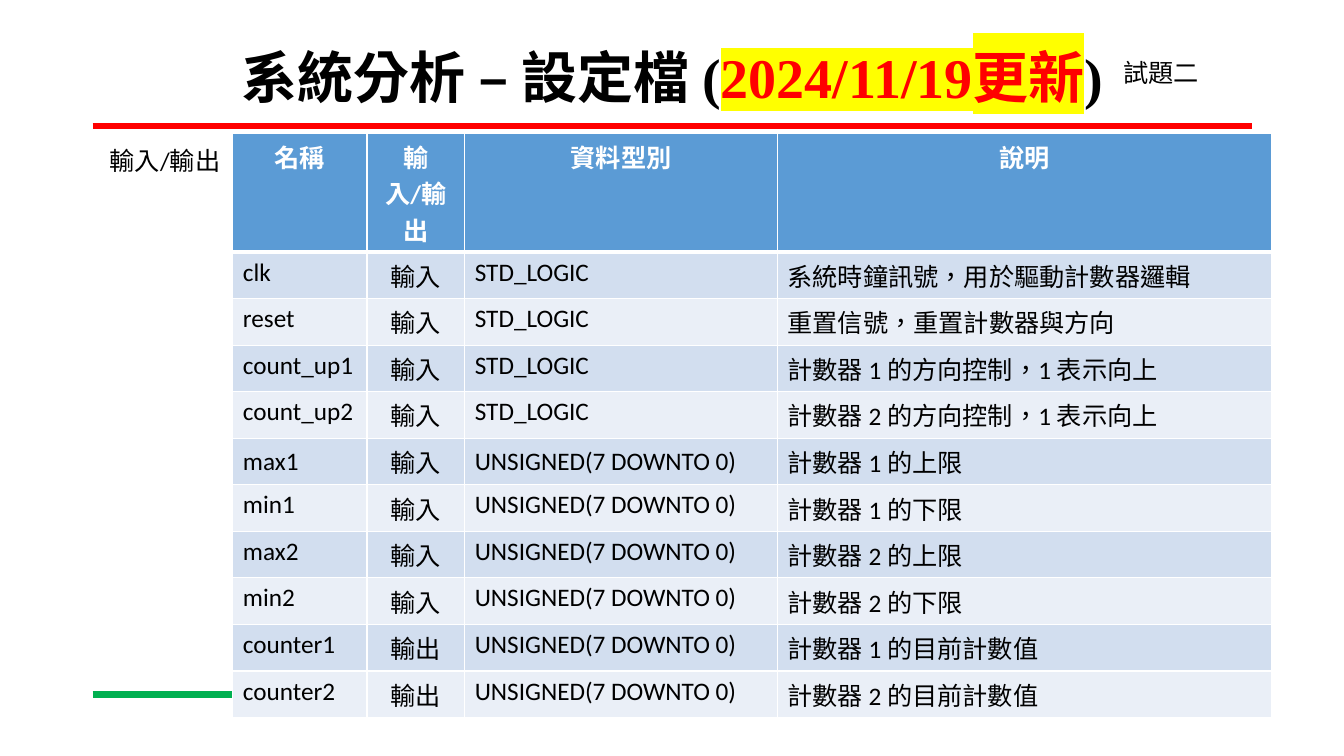
"""Build the counter settings slide with its signal table."""
from lxml import etree
from pptx import Presentation
from pptx import util as u
from pptx.dml.color import RGBColor
from pptx.enum import lang, shapes, text
from pptx.oxml.ns import qn

RED = RGBColor(0xFF, 0x00, 0x00)
GREEN = RGBColor(0x00, 0xB0, 0x50)
BLACK = RGBColor(0x00, 0x00, 0x00)
WHITE = RGBColor(0xFF, 0xFF, 0xFF)
YELLOW = RGBColor(0xFF, 0xFF, 0x00)
BLUE = RGBColor(0x5B, 0x9B, 0xD5)
BANDS = RGBColor(0xD2, 0xDE, 0xEF), RGBColor(0xEA, 0xEF, 0xF7)

HEADS = ["名稱", "輸入/輸出", "資料型別", "說明"]
BIT, BYTE = "STD_LOGIC", "UNSIGNED(7 DOWNTO 0)"
SIGNALS = [
    ("clk", "輸入", BIT, "系統時鐘訊號，用於驅動計數器邏輯"),
    ("reset", "輸入", BIT, "重置信號，重置計數器與方向"),
    ("count_up1", "輸入", BIT, "計數器 1 的方向控制，1 表示向上"),
    ("count_up2", "輸入", BIT, "計數器 2 的方向控制，1 表示向上"),
    ("max1", "輸入", BYTE, "計數器 1 的上限"),
    ("min1", "輸入", BYTE, "計數器 1 的下限"),
    ("max2", "輸入", BYTE, "計數器 2 的上限"),
    ("min2", "輸入", BYTE, "計數器 2 的下限"),
    ("counter1", "輸出", BYTE, "計數器 1 的目前計數值"),
    ("counter2", "輸出", BYTE, "計數器 2 的目前計數值"),
]


class Deck:
    """Holds the style and the current slide."""

    font, size = "Calibri", 18
    tongue = lang.MSO_LANGUAGE_ID.TRADITIONAL_CHINESE

    def __init__(self):
        self.prs = Presentation()
        self.prs.slide_width = u.Inches(13.33)
        self.prs.slide_height = u.Inches(7.5)
        self.slide = self.prs.slides.add_slide(self.prs.slide_layouts[6])

    def style(self, run, color=BLACK, bold=False, size=None, font=None):
        """Set the font of a run."""
        run.font.name = font or self.font
        run.font.size = u.Pt(size or self.size)
        run.font.bold = bold
        run.font.color.rgb = color
        run.font.language_id = self.tongue

    def mark(self, run, color):
        """Highlight a run."""
        light = etree.Element(qn("a:highlight"))
        etree.SubElement(light, qn("a:srgbClr"), val=str(color))
        run.font._element.find(qn("a:solidFill")).addnext(light)

    def rule(self, y, color):
        """Draw a line across the slide."""
        line = self.slide.shapes.add_connector(
            shapes.MSO_CONNECTOR.STRAIGHT,
            u.Inches(0.92), u.Inches(y), u.Inches(12.42), u.Inches(y))
        line.line.color.rgb = color
        line.line.width = u.Pt(4.5)
        etree.SubElement(line._element.spPr, qn("a:effectLst"))

    def box(self, *place):
        """Add a wrapping text frame."""
        frame = self.slide.shapes.add_textbox(*map(u.Inches, place)).text_frame
        frame.word_wrap = True
        return frame

    def title(self, parts):
        """Add the heading from text, colour and highlight."""
        frame = self.box(0.92, 0.4, 11.5, 0.79)
        frame.vertical_anchor = text.MSO_ANCHOR.MIDDLE
        para = frame.paragraphs[0]
        para.alignment = text.PP_ALIGN.CENTER
        para.line_spacing = 0.9
        for words, color, light in parts:
            run = para.add_run()
            run.text = words
            self.style(run, color, True, 40, "Times New Roman")
            if light:
                self.mark(run, light)

    def label(self, words, *place):
        """Add a small text label."""
        frame = self.box(*place)
        frame.auto_size = text.MSO_AUTO_SIZE.SHAPE_TO_FIT_TEXT
        frame.text = words
        self.style(frame.paragraphs[0].runs[0])

    def edge(self, cell, head):
        """Draw white borders, thick below the header."""
        props = cell._tc.get_or_add_tcPr()
        for i, side in enumerate("LRTB"):
            wide = 3 if head and side == "B" else 1
            line = etree.Element(qn("a:ln" + side), w=str(u.Pt(wide)))
            fill = etree.SubElement(line, qn("a:solidFill"))
            etree.SubElement(fill, qn("a:srgbClr"), val=str(WHITE))
            props.insert(i, line)

    def table(self, rows, widths, left, top, first, rest):
        """Add a banded table with a header row."""
        grid = self.slide.shapes.add_table(
            len(rows), len(widths), u.Inches(left), u.Inches(top),
            u.Inches(sum(widths)), u.Inches(first + rest)).table
        for col, width in zip(grid.columns, widths):
            col.width = u.Inches(width)
        for r, row in enumerate(rows):
            head = r == 0
            grid.rows[r].height = u.Inches(
                first if head else rest / (len(rows) - 1))
            for c, words in enumerate(row):
                cell = grid.cell(r, c)
                cell.text = words
                cell.fill.solid()
                cell.fill.fore_color.rgb = BLUE if head else BANDS[(r - 1) % 2]
                self.edge(cell, head)
                if row[0] == "max1":
                    cell.vertical_anchor = text.MSO_ANCHOR.MIDDLE
                para = cell.text_frame.paragraphs[0]
                if head or c == 1:
                    para.alignment = text.PP_ALIGN.CENTER
                self.style(para.runs[0], WHITE if head else BLACK, head)


def main():
    """Build and save the slide."""
    deck = Deck()
    deck.rule(1.25, RED)
    deck.rule(6.89, GREEN)
    deck.title([("系統分析 – 設定檔 (", BLACK, None),
                ("2024/11/19更新", RED, YELLOW),
                (")", BLACK, None)])
    deck.table([HEADS] + SIGNALS, [1.33, 0.97, 3.1, 4.9],
               2.31, 1.32, 1.18, 4.62)
    deck.label("輸入/輸出", 0.99, 1.39, 1.35, 0.4)
    deck.label("試題二", 11.04, 0.52, 1.85, 0.4)
    deck.prs.save("out.pptx")


if __name__ == "__main__":
    main()
